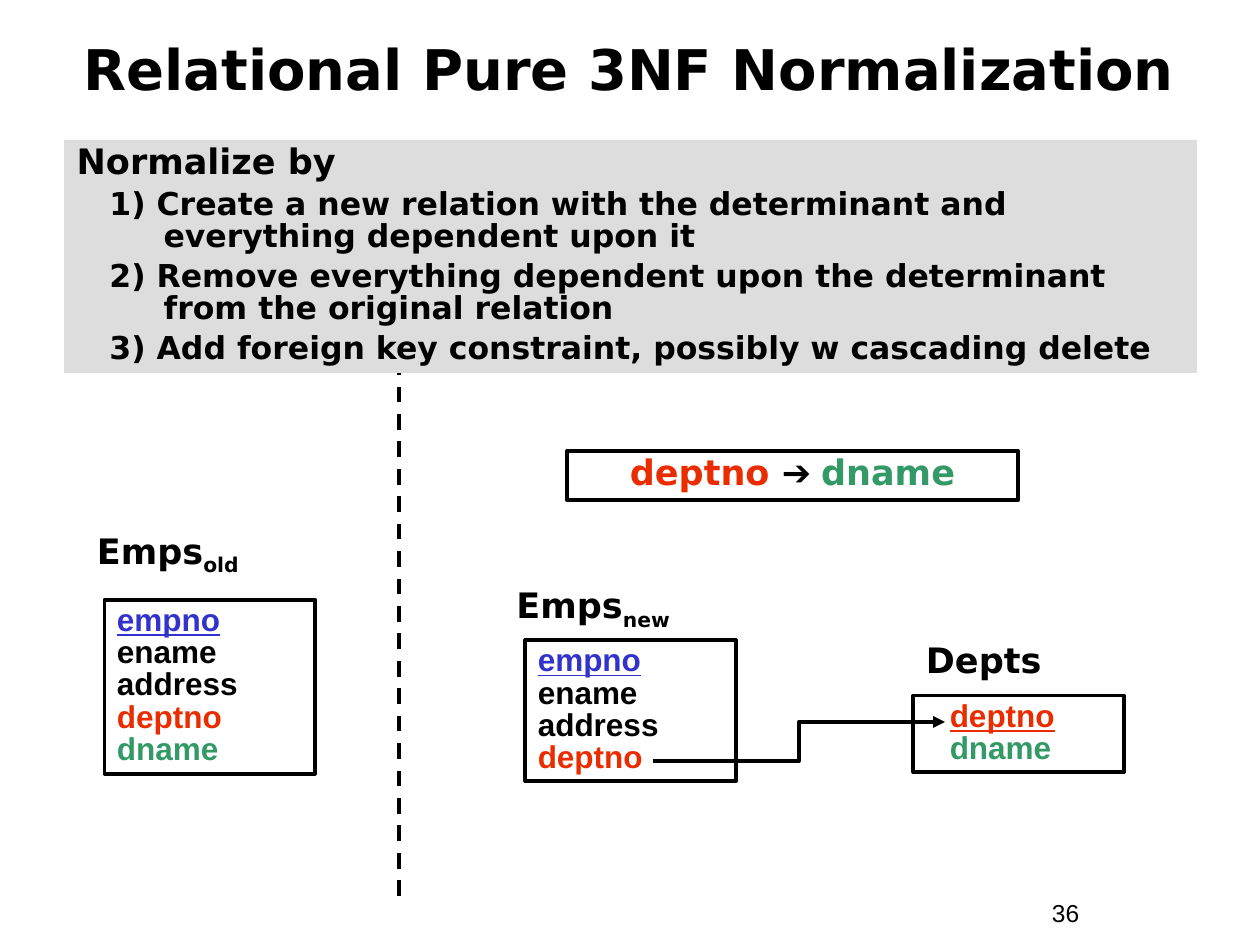
"""Build the slide on relational 3NF normalization."""
from lxml import etree
from pptx import Presentation
from pptx.dml.color import RGBColor
from pptx.enum.dml import MSO_LINE
from pptx.enum.shapes import MSO_CONNECTOR, MSO_SHAPE
from pptx.enum.text import MSO_ANCHOR, PP_ALIGN
from pptx.oxml.ns import qn
from pptx.util import Inches, Pt

RECT = MSO_SHAPE.RECTANGLE
STRAIGHT, ELBOW = MSO_CONNECTOR.STRAIGHT, MSO_CONNECTOR.ELBOW
DASH = MSO_LINE.DASH
LEFT, CENTER = PP_ALIGN.LEFT, PP_ALIGN.CENTER
TOP, MIDDLE = MSO_ANCHOR.TOP, MSO_ANCHOR.MIDDLE

SANS, ARIAL = "DejaVu Sans", "Arial"
BLACK, GRAY, BLUE, RED, GREEN = "000000", "DDDDDD", "3333CC", "EA2D00", "339966"
TIGHT = 0.85

TITLE = "Relational Pure 3NF Normalization"
HEADING = "Normalize by"
STEPS = [
    "1) Create a new relation with the determinant and everything dependent upon it",
    "2) Remove everything dependent upon the determinant from the original relation",
    "3) Add foreign key constraint, possibly w cascading delete",
]
DEPENDENCY = [("deptno ", SANS, RED), ("➔ ", ARIAL, BLACK), ("dname", SANS, GREEN)]
COLORS = {"empno": BLUE, "deptno": RED, "dname": GREEN}
RELATIONS = [
    {"name": "Emps", "sub": "old", "label": (0.67, 4.15, 1.75, 0.48),
     "box": (0.83, 4.76, 1.67, 1.38), "indent": 0,
     "columns": ["empno", "ename", "address", "deptno", "dname"]},
    {"name": "Emps", "sub": "new", "label": (4, 4.58, 2.67, 0.48),
     "box": (4.17, 5.08, 1.67, 1.12), "indent": 0,
     "columns": ["empno", "ename", "address", "deptno"]},
    {"name": "Depts", "sub": "", "label": (7.25, 5.02, 2.15, 0.44),
     "box": (7.25, 5.52, 1.67, 0.61), "indent": 0.19,
     "columns": ["deptno", "dname"]},
]
DIVIDER = (3.17, 2.85, 3.17, 7.18)
FOREIGN_KEY = (5.18, 6.04, 7.5, 5.73)


def rgb(color):
    """Turn a hex string into a colour."""
    return RGBColor.from_string(color)


def add_text(s, box, anchor=TOP):
    """Add a wrapping text box and return its text frame."""
    tf = s.shapes.add_textbox(*map(Inches, box)).text_frame
    tf.word_wrap = True
    tf.vertical_anchor = anchor
    return tf


def add_box(s, box, fill=None):
    """Add a filled or outlined rectangle and return its text frame."""
    sp = s.shapes.add_shape(RECT, *map(Inches, box))
    sp.shadow.inherit = False
    if fill:
        sp.fill.solid()
        sp.fill.fore_color.rgb = rgb(fill)
        sp.line.fill.background()
    else:
        sp.fill.background()
        sp.line.color.rgb = rgb(BLACK)
        sp.line.width = Pt(2.25)
    tf = sp.text_frame
    tf.word_wrap = True
    tf.vertical_anchor = TOP
    return tf


def add_para(tf, first, align=LEFT, spacing=1.0, before=0, margin=0, indent=0):
    """Return the first or a new paragraph with its layout set."""
    p = tf.paragraphs[0] if first else tf.add_paragraph()
    p.alignment = align
    p.line_spacing = spacing
    p.space_before = Pt(before)
    pPr = p._p.get_or_add_pPr()
    pPr.set("marL", str(Inches(margin)))
    pPr.set("indent", str(Inches(indent)))
    return p


def add_run(p, text, size, font=SANS, color=BLACK, bold=True, underline=False):
    """Add one formatted run."""
    r = p.add_run()
    r.text = text
    r.font.size = Pt(size)
    r.font.name = font
    r.font.bold = bold
    r.font.underline = underline
    r.font.color.rgb = rgb(color)
    return r


def add_line(s, kind, points):
    """Add a black connector without a shadow."""
    line = s.shapes.add_connector(kind, *map(Inches, points))
    line.line.color.rgb = rgb(BLACK)
    line.line.width = Pt(2.25)
    etree.SubElement(line._element.spPr, qn("a:effectLst"))
    return line


def add_relation(s, relation):
    """Add a relation's name and its box of columns, key first."""
    p = add_para(add_text(s, relation["label"]), True)
    add_run(p, relation["name"], 20)
    if relation["sub"]:
        r = add_run(p, relation["sub"], 20)
        r.font._element.set("baseline", "-25000")
    tf = add_box(s, relation["box"])
    for i, column in enumerate(relation["columns"]):
        p = add_para(tf, i == 0, spacing=TIGHT, margin=relation["indent"])
        add_run(p, column, 18, ARIAL, COLORS.get(column, BLACK), underline=i == 0)


def main():
    """Build and save the slide."""
    prs = Presentation()
    prs.slide_width, prs.slide_height = Inches(10), Inches(7.5)
    s = prs.slides.add_slide(prs.slide_layouts[6])

    p = add_para(add_text(s, (8.25, 7.08, 0.92, 0.34)), True)
    add_run(p, "36", 14, ARIAL, bold=False)
    p = add_para(add_text(s, (0.33, 0.17, 9.33, 0.83), MIDDLE), True, CENTER, TIGHT)
    add_run(p, TITLE, 32)

    add_line(s, STRAIGHT, DIVIDER).line.dash_style = DASH

    tf = add_box(s, (0.51, 1.11, 8.99, 1.85), GRAY)
    add_run(add_para(tf, True, spacing=TIGHT), HEADING, 20)
    for step in STEPS:
        p = add_para(tf, False, spacing=TIGHT, before=4.5, margin=0.69, indent=-0.43)
        add_run(p, step, 18)

    p = add_para(add_box(s, (4.5, 3.58, 3.58, 0.39)), True, CENTER, TIGHT)
    for text, font, color in DEPENDENCY:
        add_run(p, text, 20, font, color)

    for relation in RELATIONS:
        add_relation(s, relation)

    arrow = add_line(s, ELBOW, FOREIGN_KEY)
    etree.SubElement(arrow.line._get_or_add_ln(), qn("a:tailEnd"), type="triangle")

    prs.save("out.pptx")


if __name__ == "__main__":
    main()
